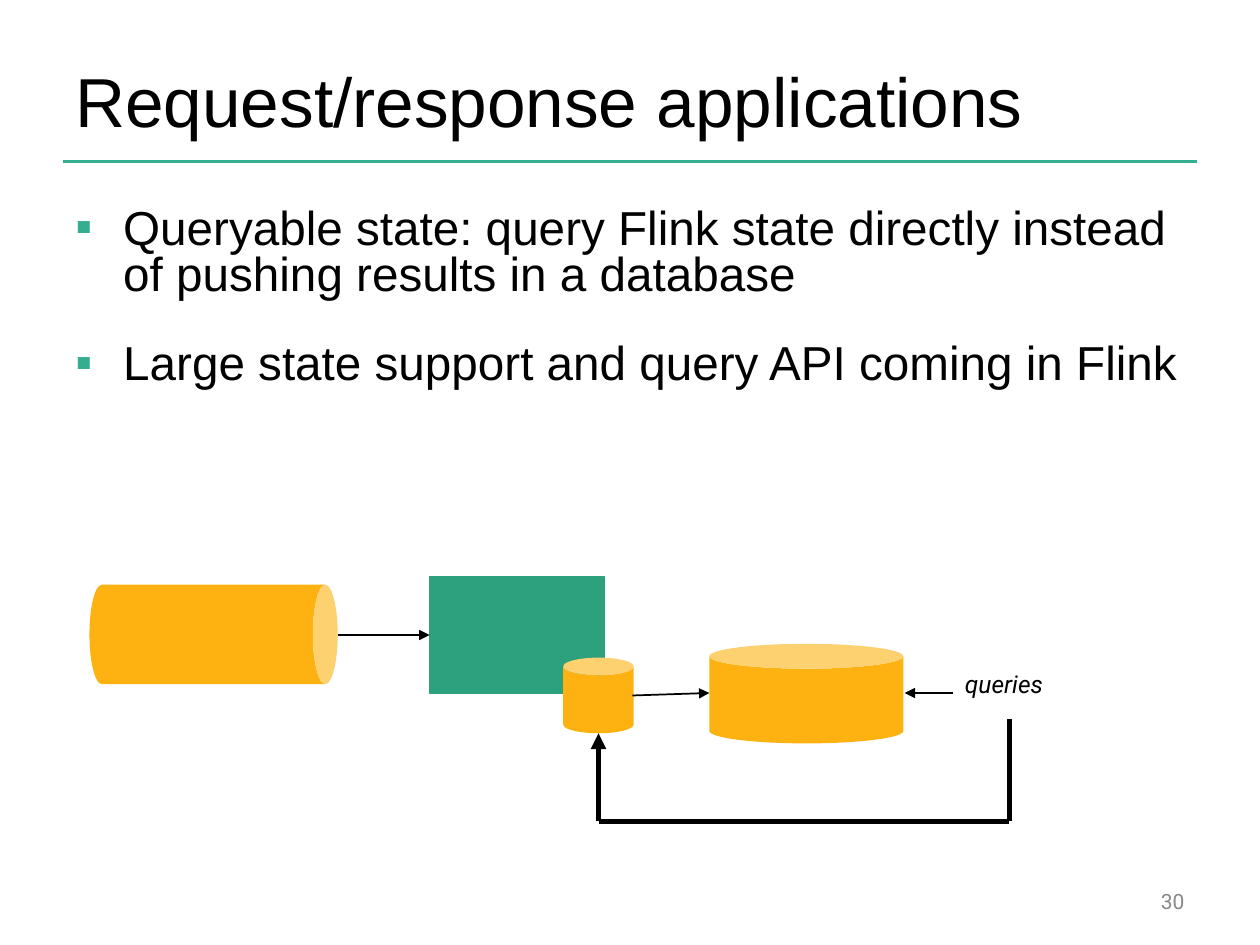
from lxml.etree import SubElement
from pptx import Presentation
from pptx.dml.color import RGBColor
from pptx.enum.shapes import MSO_CONNECTOR, MSO_SHAPE
from pptx.enum.text import MSO_ANCHOR, PP_ALIGN
from pptx.oxml.ns import qn
from pptx.util import Inches, Pt

colours = {
    "accent": "34AD91",
    "operator": "2DA07E",
    "store": "FDB212",
    "ink": "000000",
    "number": "888888",
}

deck = Presentation()
deck.slide_width, deck.slide_height = Inches(10), Inches(7.5)
page = deck.slides.add_slide(deck.slide_layouts[6])
column, row = deck.slide_width / 100, deck.slide_height / 75


def grid(*cells):
    return [round(cell * (row if index % 2 else column)) for index, cell in enumerate(cells)]


def add_text(cells, lines, colour, frame_format, paragraph_format, font_format):
    frame = page.shapes.add_textbox(*grid(*cells)).text_frame
    frame.word_wrap = True
    for name, value in frame_format.items():
        setattr(frame, name, value)
    for index, line in enumerate(lines):
        paragraph = frame.paragraphs[0] if index == 0 else frame.add_paragraph()
        for name, value in paragraph_format.items():
            setattr(paragraph, name, value)
        span = paragraph.add_run()
        span.text = line
        span.font.color.rgb = RGBColor.from_string(colours[colour])
        for name, value in font_format.items():
            setattr(span.font, name, value)
    return frame


middle = {"vertical_anchor": MSO_ANCHOR.MIDDLE}
add_text((5, 3, 81.7, 9.8), ["Request/response applications"], "ink",
         middle, {}, {"name": "Arial", "size": Pt(39.6)})

points = [
    "Queryable state: query Flink state directly instead of pushing results in a database",
    "Large state support and query API coming in Flink",
]
body = add_text((5, 16.1, 90, 28.2), points, "ink", {}, {}, {"name": "Arial", "size": Pt(27.2)})
for index, paragraph in enumerate(body.paragraphs):
    properties = paragraph._p.get_or_add_pPr()
    properties.set("marL", str(Inches(0.38)))
    properties.set("indent", str(-Inches(0.38)))
    bullet_colour = SubElement(properties, qn("a:buClr"))
    SubElement(bullet_colour, qn("a:srgbClr"), val=colours["accent"])
    SubElement(properties, qn("a:buSzPct"), val="101000")
    SubElement(properties, qn("a:buFont"), typeface="Arial")
    SubElement(properties, qn("a:buChar"), char="▪")
    paragraph.line_spacing = 0.8
    paragraph.space_before = Pt(25 * index)

add_text((71.7, 69.5, 23.3, 4), ["30"], "number", middle,
         {"alignment": PP_ALIGN.RIGHT}, {"name": "Roboto", "size": Pt(12)})

shapes = [
    (MSO_SHAPE.CAN, (13, 40.5, 7.9, 19.7), 90, "store"),
    (MSO_SHAPE.RECTANGLE, (34.1, 45.8, 13.9, 9.2), 0, "operator"),
    (MSO_SHAPE.CAN, (44.7, 52.2, 5.6, 6), 0, "store"),
    (MSO_SHAPE.CAN, (56.3, 51.1, 15.4, 7.9), 0, "store"),
]
for kind, cells, rotation, colour in shapes:
    shape = page.shapes.add_shape(kind, *grid(*cells))
    shape.shadow.inherit = False
    shape.rotation = rotation
    shape.fill.solid()
    shape.fill.fore_color.rgb = RGBColor.from_string(colours[colour])
    if kind == MSO_SHAPE.RECTANGLE:
        shape.line.color.rgb = RGBColor.from_string(colours[colour])
        shape.line.width = Pt(0.75)
    else:
        shape.line.fill.background()

add_text((75.6, 52.6, 9.1, 4.5), ["queries"], "ink", {}, {},
         {"name": "Roboto", "size": Pt(14), "italic": True})

lines = [
    ((5, 12.8, 95, 12.8), "accent", 2, False),
    ((26.8, 50.4, 34.1, 50.4), "ink", 1, True),
    ((50.2, 55.2, 56.3, 55), "ink", 1, True),
    ((75.6, 55, 71.8, 55), "ink", 1, True),
    ((47.5, 65.2, 47.5, 58.2), "ink", 3, True),
    ((80.1, 65.2, 47.5, 65.2), "ink", 3, False),
    ((80.1, 57.1, 80.1, 65.2), "ink", 3, False),
]
for cells, colour, width, arrow in lines:
    connector = page.shapes.add_connector(MSO_CONNECTOR.STRAIGHT, *grid(*cells))
    connector.line.color.rgb = RGBColor.from_string(colours[colour])
    connector.line.width = Pt(width)
    if arrow:
        SubElement(connector.line._get_or_add_ln(), qn("a:tailEnd"), type="triangle")
    SubElement(connector._element.spPr, qn("a:effectLst"))

deck.save("out.pptx")
